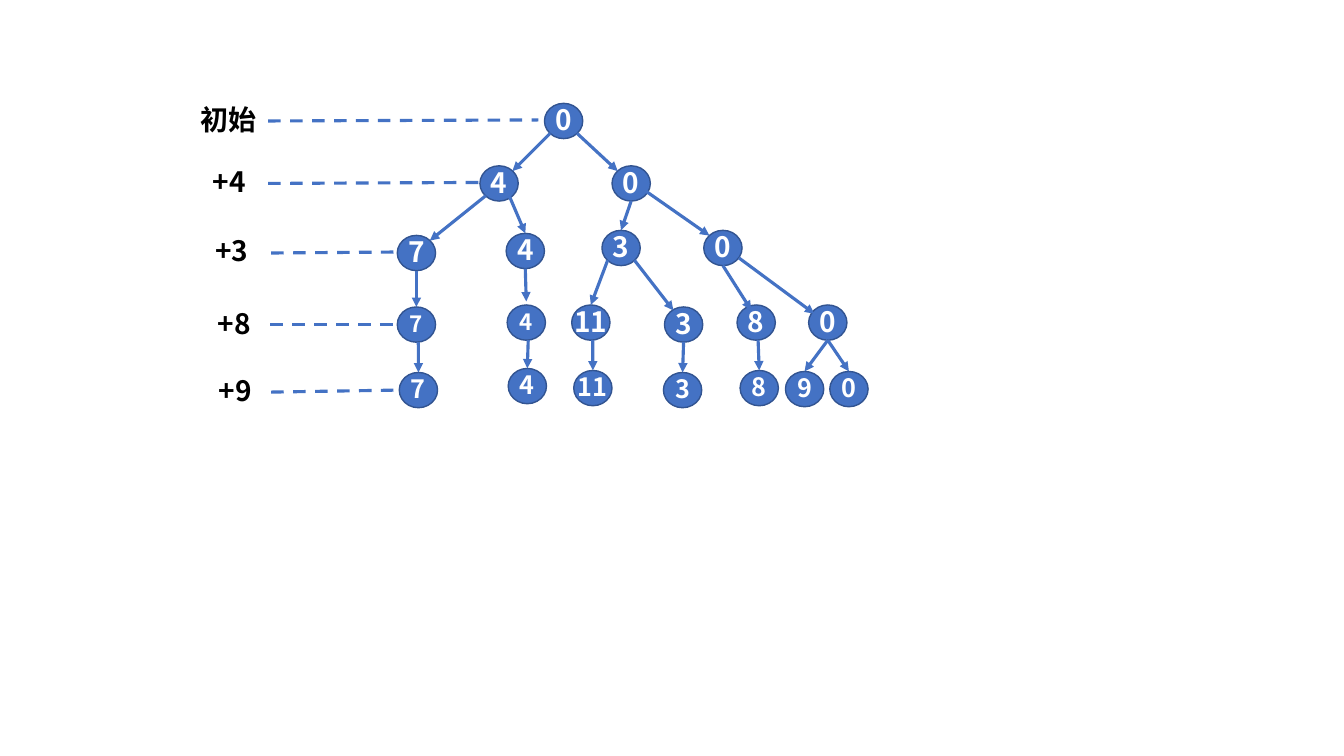
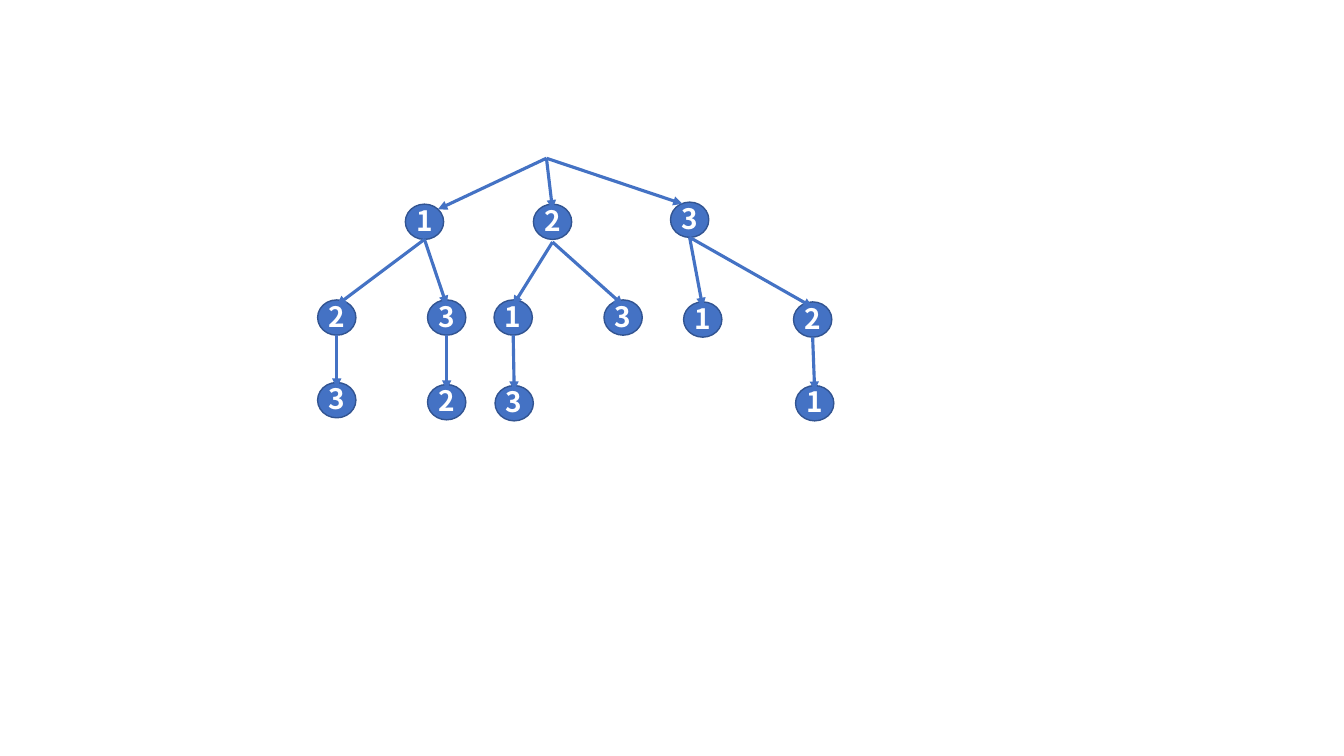
"""Build two slides that show decision trees."""
from lxml import etree
from pptx import Presentation
from pptx.dml.color import RGBColor
from pptx.enum.dml import MSO_LINE
from pptx.enum.shapes import MSO_CONNECTOR, MSO_SHAPE
from pptx.enum.text import MSO_ANCHOR, PP_ALIGN
from pptx.oxml.ns import qn
from pptx.util import Inches, Pt

BLUE = RGBColor(0x44, 0x72, 0xC4)
NAVY = RGBColor(0x32, 0x54, 0x91)
WHITE = RGBColor(0xFF, 0xFF, 0xFF)
BLACK = RGBColor(0x00, 0x00, 0x00)
FONT = "Noto Sans CJK SC"
OVAL = MSO_SHAPE.OVAL
LINE = MSO_CONNECTOR.STRAIGHT
DASH = MSO_LINE.DASH
MIDDLE = MSO_ANCHOR.MIDDLE
CENTER = PP_ALIGN.CENTER

CELL = 0.1
NODE_W, NODE_H = 3.8, 3.5
LABEL_W, LABEL_H = 8, 4.4

TOP, BASE = (0, -1), (0, 1)
TOP_L, TOP_R = (-0.7, -0.7), (0.7, -0.7)
BASE_L, BASE_R = (-0.7, 0.7), (0.7, 0.7)
INNER = (0, -0.7)
DROP = (0.1, 1)

STEPS = [
    ("初始", 22.7, 12, (26.6, 12), (53.4, 11.9)),
    ("+4", 22.75, 18.1, (26.6, 18.2), (47.8, 18.1)),
    ("+3", 23, 25, (26.9, 25.1), (39.5, 25)),
    ("+8", 23.25, 32.2, (26.8, 32.2), (39.7, 32.2)),
    ("+9", 23.35, 38.9, (26.9, 38.9), (39.6, 38.7)),
]

# Each node: text, column, row, size, parent in the level above, exit, entry
SUMS = [
    [("0", 55.9, 12, 20, None, None, None)],
    [("4", 49.5, 18.2, 20, 0, BASE_L, TOP_R),
     ("0", 62.6, 18.2, 20, 0, BASE_R, TOP_L)],
    [("7", 41.3, 25.1, 20, 0, BASE_L, TOP_R),
     ("4", 52.1, 24.9, 20, 0, (0.53, 0.7), TOP),
     ("3", 61.6, 24.6, 20, 1, BASE, TOP),
     ("0", 71.7, 24.6, 20, 1, (0.8, 0.46), TOP_L)],
    [("7", 41.3, 32.2, 16, 0, BASE, TOP),
     ("4", 52.2, 32, 16, 1, BASE, (0, -1.2)),
     ("11", 58.6, 32, 20, 2, BASE_L, TOP),
     ("3", 67.8, 32.2, 20, 2, BASE_R, (-0.53, -0.8)),
     ("8", 75, 32, 20, 3, BASE, (-0.26, -0.7)),
     ("0", 82.1, 32, 20, 3, (0.84, 0.57), (-0.7, -0.5))],
    [("7", 41.5, 38.7, 18, 0, DROP, TOP),
     ("4", 52.3, 38.3, 18, 1, DROP, TOP),
     ("11", 58.8, 38.5, 18, 2, DROP, TOP),
     ("3", 67.7, 38.7, 18, 3, BASE, TOP),
     ("8", 75.3, 38.5, 18, 4, DROP, TOP),
     ("9", 79.8, 38.6, 18, 5, BASE, TOP),
     ("0", 84.2, 38.6, 18, 5, BASE, TOP)],
]

ORDERS = [
    [(None, 54.2, 15.7, 20, None, None, None)],
    [("1", 42.1, 22, 20, 0, (0, 0), TOP_R),
     ("2", 54.8, 22, 20, 0, (0, 0), INNER),
     ("3", 68.4, 21.8, 20, 0, (0, 0), (-0.37, -0.9))],
    [("2", 33.4, 31.5, 20, 0, BASE, INNER),
     ("3", 44.3, 31.5, 20, 0, BASE, INNER),
     ("1", 50.9, 31.5, 20, 1, (0, 1.15), INNER),
     ("3", 61.8, 31.5, 20, 1, (0, 1.15), INNER),
     ("1", 69.7, 31.7, 20, 2, BASE, INNER),
     ("2", 80.6, 31.7, 20, 2, BASE, INNER)],
    [("3", 33.4, 39.7, 20, 0, BASE, INNER),
     ("2", 44.3, 39.9, 20, 1, BASE, INNER),
     ("3", 51, 40, 20, 2, BASE, INNER),
     ("1", 80.8, 40, 20, 5, BASE, INNER)],
]


def grid(count):
    return Inches(count * CELL)


def write(shape, text, size=20, color=BLACK):
    frame = shape.text_frame
    frame.margin_left = frame.margin_right = frame.margin_top = 0
    frame.margin_bottom = Inches(0.03)
    frame.word_wrap = False
    frame.vertical_anchor = MIDDLE
    para = frame.paragraphs[0]
    para.alignment = CENTER
    run = para.add_run()
    run.text = text
    run.font.size = Pt(size)
    run.font.bold = True
    run.font.color.rgb = color
    run.font.name = FONT
    props = run.font._element
    etree.SubElement(props, qn("a:ea")).set("typeface", FONT)


def site(node, spot):
    return node[1] + spot[0] * NODE_W / 2, node[2] + spot[1] * NODE_H / 2


class Deck:
    def __init__(self):
        self.show = Presentation()
        self.show.slide_width = Inches(13.33)
        self.show.slide_height = Inches(7.5)
        self.slide = None

    def page(self):
        self.slide = self.show.slides.add_slide(self.show.slide_layouts[6])

    def label(self, text, col, row):
        box = self.slide.shapes.add_textbox(
            grid(col - LABEL_W / 2), grid(row - LABEL_H / 2),
            grid(LABEL_W), grid(LABEL_H))
        write(box, text)

    def node(self, text, col, row, size):
        oval = self.slide.shapes.add_shape(
            OVAL, grid(col - NODE_W / 2), grid(row - NODE_H / 2),
            grid(NODE_W), grid(NODE_H))
        oval.shadow.inherit = False
        oval.fill.solid()
        oval.fill.fore_color.rgb = BLUE
        oval.line.color.rgb = NAVY
        oval.line.width = Pt(1)
        write(oval, text, size=size, color=WHITE)

    def line(self, start, end, dash=False):
        link = self.slide.shapes.add_connector(
            LINE, *(grid(n) for n in (*start, *end)))
        link.line.color.rgb = BLUE
        link.line.width = Pt(2.25)
        props = link._element.spPr
        if dash:
            link.line.dash_style = DASH
        else:
            tail = etree.SubElement(props.find(qn("a:ln")), qn("a:tailEnd"))
            tail.set("type", "triangle")
        etree.SubElement(props, qn("a:effectLst"))

    def tree(self, levels):
        above = []
        for level in levels:
            for item in level:
                text, col, row, size, parent, leave, enter = item
                if text:
                    self.node(text, col, row, size)
                if parent is not None:
                    self.line(site(above[parent], leave), site(item, enter))
            above = level


def main():
    deck = Deck()
    deck.page()
    for text, col, row, start, end in STEPS:
        deck.label(text, col, row)
        deck.line(start, end, dash=True)
    deck.tree(SUMS)
    deck.page()
    deck.tree(ORDERS)
    deck.show.save("out.pptx")


if __name__ == "__main__":
    main()
